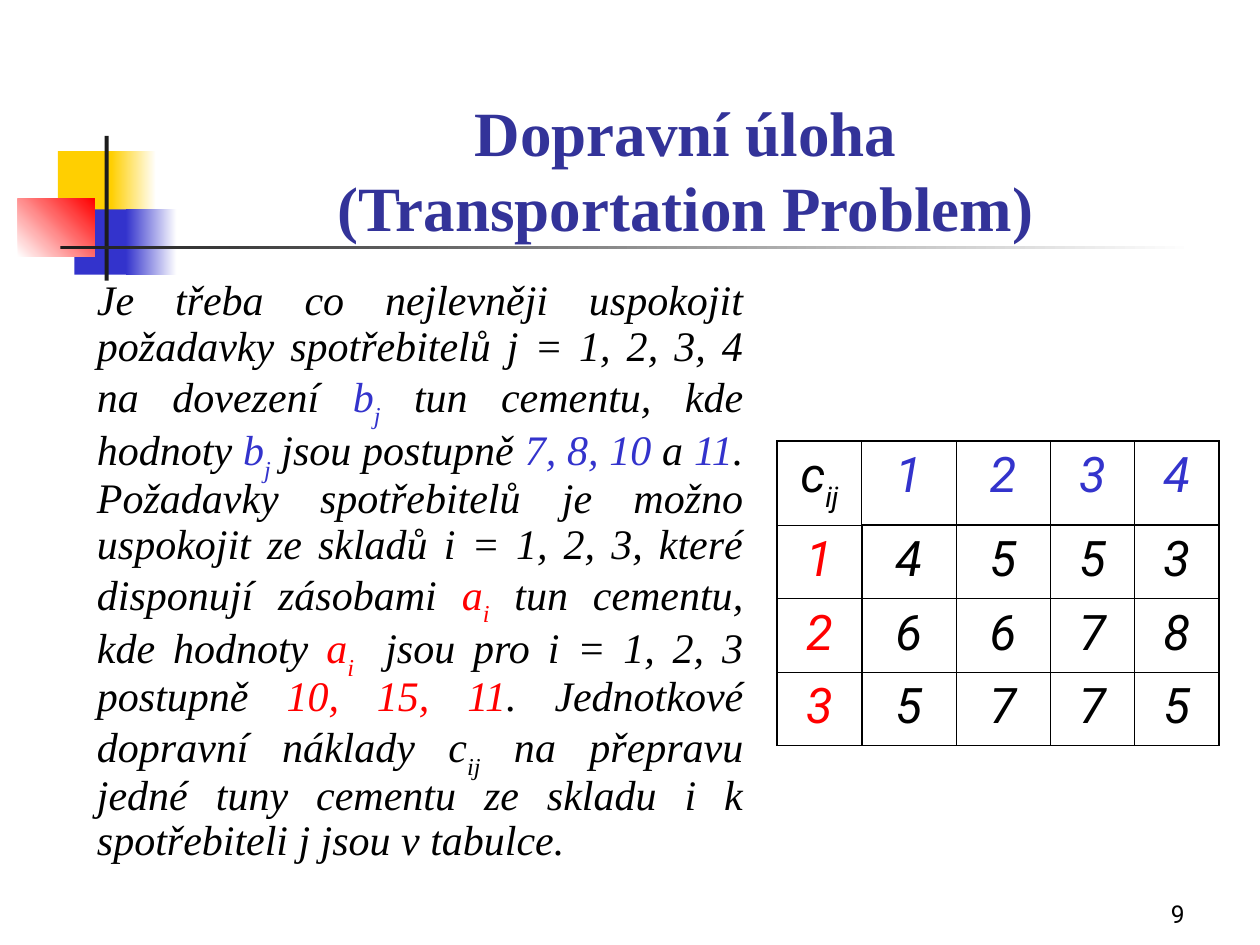
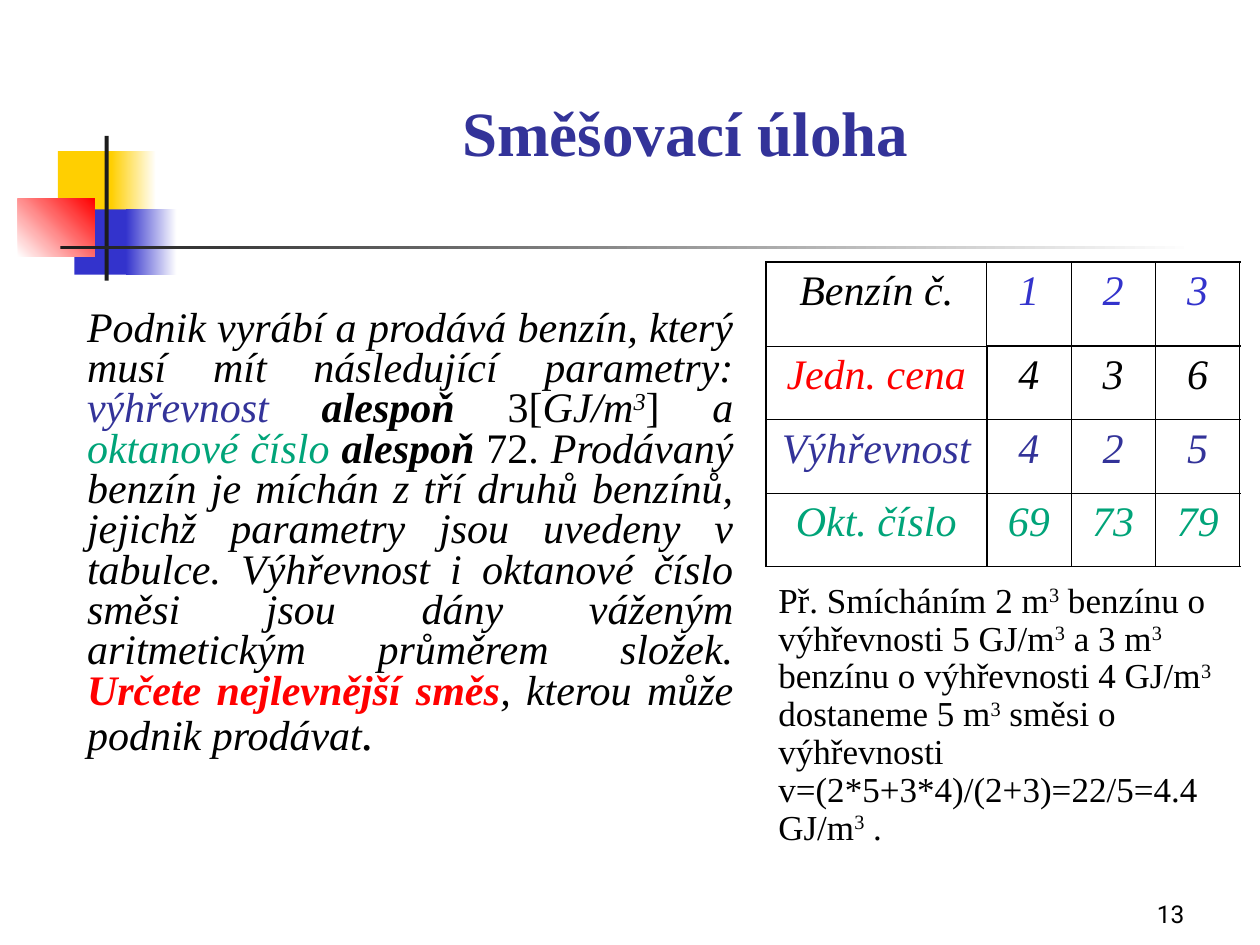
from lxml import etree
from pptx import Presentation
from pptx.dml.color import RGBColor
from pptx.enum import shapes, text
from pptx.oxml import ns
from pptx.util import Cm, Pt

SERIF, SANS = "Times New Roman", "Roboto"
BLACK, WHITE, CHARCOAL = "000000", "FFFFFF", "1C1C1C"
BLUE, NAVY, RED, GREEN, YELLOW = "3333CC", "333399", "FF0000", "00A479", "FFCF01"
OUTER, INNER, HEADING = 1.08, 0.45, 1.47  # table rule widths in points
BASELINES = {"_": "-30000", "^": "30000"}


def rgb(value):
    return RGBColor.from_string(value)


# ---- Text ----
def write(paragraph, runs, size, name=SERIF, color=BLACK, align=None,
          bold=False, italic=False, spacing=None):
    """Each run is (text, marks, colour); marks: b bold, r upright, _ sub, ^ super, + large."""
    paragraph.alignment = align
    paragraph.space_before = Pt(0)
    if spacing:
        paragraph.line_spacing = spacing
    font = paragraph.font
    font.name, font.size, font.bold, font.italic = name, Pt(size), bold, italic
    font.color.rgb = rgb(color)
    for content, marks, tint in runs:
        run = paragraph.add_run()
        run.text = content
        if tint:
            run.font.color.rgb = rgb(tint)
        if "b" in marks:
            run.font.bold = True
        if "r" in marks:
            run.font.italic = False
        if "+" in marks:
            run.font.size = Pt(size + 4)
        for mark, shift in BASELINES.items():
            if mark in marks:
                run.font._element.set("baseline", shift)


def place(shape, left, top, width, height):
    shape.left, shape.top = Cm(left), Cm(top)
    shape.width, shape.height = Cm(width), Cm(height)
    frame = shape.text_frame
    frame.word_wrap = True
    frame.auto_size = text.MSO_AUTO_SIZE.NONE
    return frame


def add_text(slide, left, top, width, height):
    box = slide.shapes.add_textbox(Cm(left), Cm(top), Cm(width), Cm(height))
    return place(box, left, top, width, height)


# ---- Shared emblem and rule, kept on the master ----
def add_emblem(prs, slide):
    bars = [  # left, top, width, height, colours, angle
        (1.17, 3.05, 1.22, 1.32, [YELLOW], 0),
        (2.24, 3.05, 0.91, 1.32, [YELLOW, WHITE], 0),
        (1.5, 4.22, 1.17, 1.32, [BLUE], 0),
        (2.54, 4.22, 1.02, 1.32, [BLUE, WHITE], 0),
        (0.36, 4.01, 1.55, 1.17, [WHITE, RED], 45),
        (2.11, 2.74, 0.08, 2.92, [CHARCOAL], 0),
        (1.22, 4.95, 22.86, 0.08, [CHARCOAL, WHITE], 0),
    ]
    master = prs.slide_master.shapes.element
    for number, (left, top, width, height, colors, angle) in enumerate(bars):
        bar = slide.shapes.add_shape(shapes.MSO_SHAPE.RECTANGLE, Cm(left), Cm(top),
                                     Cm(width), Cm(height))
        bar.shadow.inherit = False
        bar.line.fill.background()
        if len(colors) == 1:
            bar.fill.solid()
            bar.fill.fore_color.rgb = rgb(colors[0])
        else:
            bar.fill.gradient()
            bar.fill.gradient_angle = angle
            for stop, color in zip(bar.fill.gradient_stops, colors):
                stop.color.rgb = rgb(color)
        bar.element.nvSpPr.cNvPr.set("id", str(101 + number))
        master.append(bar.element)


# ---- Title, body and page number ----
def add_title(slide, title):
    frame = place(slide.shapes.title, 3, 1.75, 21.64, 3.18)
    frame.vertical_anchor = text.MSO_ANCHOR.TOP
    paragraph = frame.paragraphs[0]
    paragraph.text = title
    write(paragraph, [], 36, color=NAVY, align=text.PP_ALIGN.CENTER, bold=True)


def add_task(slide, box, runs, spacing):
    paragraph = place(slide.placeholders[1], *box).paragraphs[0]
    properties = paragraph._p.get_or_add_pPr()
    properties.set("marL", "0")
    properties.set("indent", "0")
    etree.SubElement(properties, ns.qn("a:buNone"))
    write(paragraph, runs, 24, align=text.PP_ALIGN.JUSTIFY, italic=True, spacing=spacing)


def add_page_number(slide, number):
    frame = add_text(slide, 18.85, 17.58, 5.28, 1.27)
    frame.vertical_anchor = text.MSO_ANCHOR.BOTTOM
    write(frame.paragraphs[0], [(str(number), "", None)], 14, SANS,
          align=text.PP_ALIGN.RIGHT)


def new_slide(prs, title, number):
    slide = prs.slides.add_slide(prs.slide_layouts[1])
    add_title(slide, title)
    add_page_number(slide, number)
    return slide


# ---- Data table ----
def rule_cell(cell, widths):
    properties = cell._tc.get_or_add_tcPr()
    for position, (side, width) in enumerate(zip("LRTB", widths)):
        line = etree.Element(ns.qn(f"a:ln{side}"), w=str(int(Pt(width))))
        fill = etree.SubElement(line, ns.qn("a:solidFill"))
        etree.SubElement(fill, ns.qn("a:srgbClr"), val=BLACK)
        properties.insert(position, line)


def rule_width(index, count, along_labels):
    """Width of the rule before row or column `index`."""
    if index in (0, count):
        return OUTER
    return HEADING if index == 1 and not along_labels else INNER


def add_data_table(slide, left, top, widths, rows, size, name):
    heights = [1.7] + [1.48] * (len(rows) - 1)
    table = slide.shapes.add_table(len(rows), len(widths), Cm(left), Cm(top),
                                   Cm(sum(widths)), Cm(sum(heights))).table
    table.first_row = table.horz_banding = False
    for column, width in zip(table.columns, widths):
        column.width = Cm(width)
    for row, height in zip(table.rows, heights):
        row.height = Cm(height)
    for r, (label, values, color) in enumerate(rows):
        for c, runs in enumerate([label] + [[(v, "", color)] for v in values.split()]):
            cell = table.cell(r, c)
            cell.fill.background()
            write(cell.text_frame.paragraphs[0], runs, size, name,
                  align=text.PP_ALIGN.CENTER, italic=True)
            rule_cell(cell, [rule_width(c, len(widths), r == 0),
                             rule_width(c + 1, len(widths), r == 0),
                             rule_width(r, len(rows), c == 0),
                             rule_width(r + 1, len(rows), c == 0)])


# ---- Slides ----
def transport_slide(prs):
    slide = new_slide(prs, "Dopravní úloha\v(Transportation Problem)", 9)
    add_emblem(prs, slide)
    demand = [("b", "", BLUE), ("j", "_", BLUE)]
    task = [
        ("Je třeba co nejlevněji uspokojit požadavky spotřebitelů j = 1, 2, 3, 4 "
         "na dovezení ", "", None),
        *demand,
        (" tun cementu, kde hodnoty ", "", None),
        *demand,
        (" jsou postupně ", "", None),
        ("7, 8, 10", "", BLUE),
        (" a ", "", None),
        ("11", "", BLUE),
        (". Požadavky spotřebitelů je možno uspokojit ze skladů i = 1, 2, 3, "
         "které disponují zásobami ", "", None),
        ("a", "", RED),
        ("i", "_", RED),
        (" tun cementu, kde hodnoty ", "", None),
        ("a", "", RED),
        ("i ", "_", RED),
        (" jsou pro i = 1, 2, 3 postupně ", "", None),
        ("10, 15, 11", "", RED),
        (". Jednotkové dopravní náklady c", "", None),
        ("ij", "_", None),
        (" na přepravu jedné tuny cementu ze skladu i k spotřebiteli j "
         "jsou v tabulce.", "", None),
    ]
    add_task(slide, (1.7, 5.51, 13.54, 12.27), task, 0.9)
    costs = [
        ([("c", "", None), ("ij", "_", None)], "1 2 3 4", BLUE),
        ([("1", "", RED)], "4 5 5 3", BLACK),
        ([("2", "", RED)], "6 6 7 8", BLACK),
        ([("3", "", RED)], "5 7 7 5", BLACK),
    ]
    add_data_table(slide, 15.67, 8.89, [1.7, 1.9, 1.9, 1.7, 1.7], costs, 28, SANS)


def blending_slide(prs):
    slide = new_slide(prs, "Směšovací úloha", 13)
    task = [
        ("Podnik vyrábí a prodává benzín, který musí mít následující parametry: ",
         "", None),
        ("výhřevnost ", "", NAVY),
        ("alespoň ", "b", None),
        ("3[", "r", None),
        ("GJ/m", "", None),
        ("3", "^", None),
        ("] ", "r", None),
        ("a ", "", None),
        ("oktanové číslo ", "", GREEN),
        ("alespoň ", "b", None),
        ("72. ", "r", None),
        ("Prodávaný benzín je míchán z tří druhů benzínů, jejichž parametry jsou "
         "uvedeny v tabulce. Výhřevnost i oktanové číslo směsi jsou dány váženým "
         "aritmetickým průměrem složek. ", "", None),
        ("Určete nejlevnější směs", "b", RED),
        (", kterou může podnik prodávat", "", None),
        (".", "+", None),
    ]
    add_task(slide, (1.5, 6.12, 13.54, 10.46), task, 0.8)
    petrol = [
        ([("Benzín č.", "", None)], "1 2 3", BLUE),
        ([("Jedn. cena", "", RED)], "4 3 6", BLACK),
        ([("Výhřevnost", "", NAVY)], "4 2 5", NAVY),
        ([("Okt. číslo", "", GREEN)], "69 73 79", GREEN),
    ]
    add_data_table(slide, 15.44, 5.28, [4.45, 1.7, 1.7, 1.7], petrol, 24, SERIF)

    # Worked example: every m is followed by a raised 3
    pieces = ["Př. Smícháním 2 m", " benzínu o výhřevnosti 5 GJ/m", " a 3 m",
              " benzínu o výhřevnosti 4 GJ/m", " dostaneme 5 m",
              " směsi o výhřevnosti v=(2*5+3*4)/(2+3)=22/5=4.4 GJ/m"]
    example = [run for piece in pieces for run in ((piece, "", None), ("3", "^", None))]
    frame = add_text(slide, 15.44, 11.63, 9.53, 5.92)
    write(frame.paragraphs[0], example + [(" .", "", None)], 20, spacing=0.9)


def main():
    prs = Presentation()
    prs.slide_width, prs.slide_height = Cm(25.4), Cm(19.05)
    transport_slide(prs)
    blending_slide(prs)
    prs.save("out.pptx")


if __name__ == "__main__":
    main()
